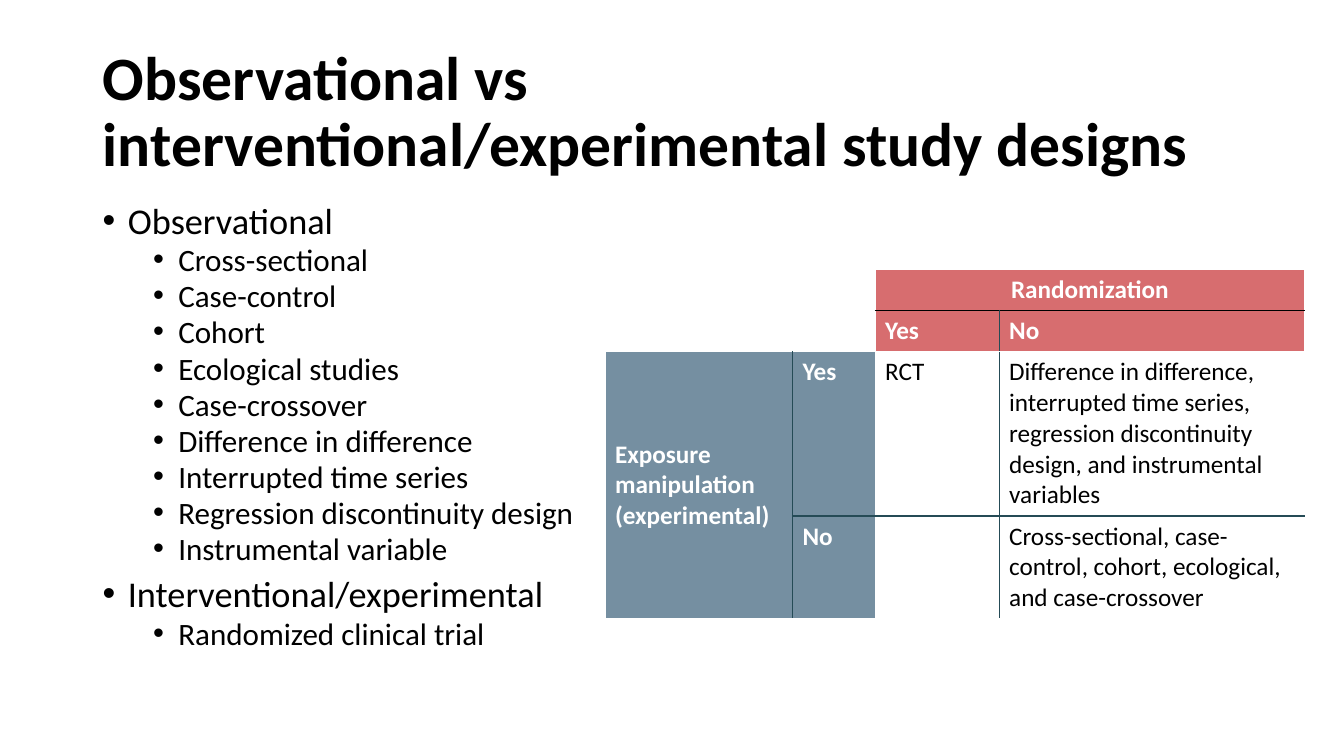
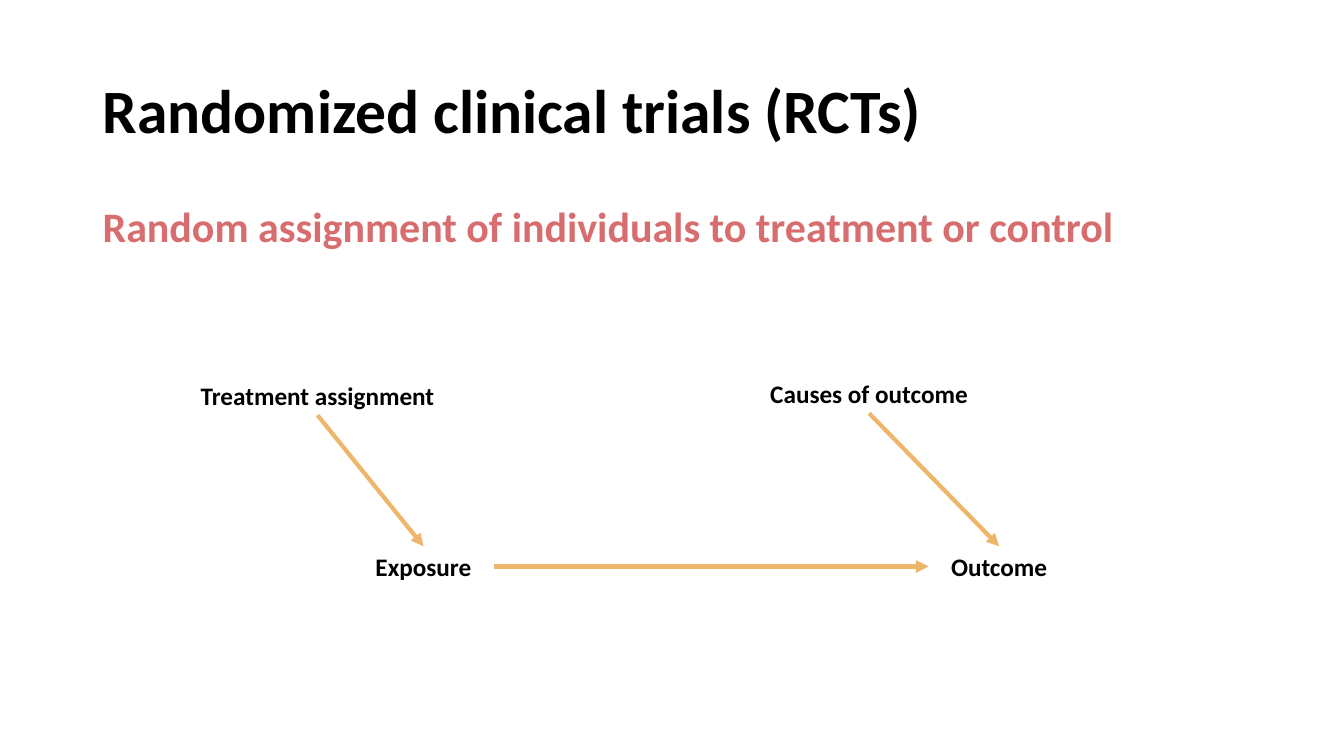
from lxml.etree import SubElement
from pptx import Presentation
from pptx.dml.color import RGBColor
from pptx.enum.shapes import MSO_CONNECTOR
from pptx.enum.text import MSO_ANCHOR as Anchor, MSO_AUTO_SIZE as AutoSize, PP_ALIGN as Align
from pptx.oxml.ns import qn
from pptx.util import Inches, Pt

BLACK = RGBColor(0x00, 0x00, 0x00)
WHITE = RGBColor(0xFF, 0xFF, 0xFF)
RED = RGBColor(0xD7, 0x6D, 0x6F)
SLATE = RGBColor(0x75, 0x8F, 0xA1)
TEAL = RGBColor(0x25, 0x4B, 0x56)
AMBER = RGBColor(0xEE, 0xB6, 0x6B)

TOP, LEFT, BOTTOM, RIGHT = range(4)
CONTENT_LEFT, CONTENT_WIDTH = 0.92, 11.5


class Deck:
    font = "Calibri"
    level_styles = ((25.9, 0.25, 9.5), (22.2, 0.75, 4.5))

    def __init__(self):
        self.presentation = Presentation()
        self.presentation.slide_width = Inches(13.33)
        self.presentation.slide_height = Inches(7.5)
        self.slide = None

    def add_run(self, paragraph, text, size, color=BLACK, bold=False):
        run = paragraph.add_run()
        run.text = text
        run.font.name = self.font
        run.font.size = Pt(size)
        run.font.bold = bold
        run.font.color.rgb = color

    def add_slide(self, title):
        layout = self.presentation.slide_layouts[5]
        self.slide = self.presentation.slides.add_slide(layout)
        shape = self.slide.shapes.title
        shape.left, shape.top = Inches(CONTENT_LEFT), Inches(0.4)
        shape.width, shape.height = Inches(CONTENT_WIDTH), Inches(1.45)
        frame = shape.text_frame
        frame.auto_size = AutoSize.NONE
        frame.vertical_anchor = Anchor.MIDDLE
        paragraph = frame.paragraphs[0]
        paragraph.alignment = Align.LEFT
        paragraph.line_spacing = 0.9
        self.add_run(paragraph, title, 44, bold=True)

    def add_box(self, left, top, width, height):
        shape = self.slide.shapes.add_textbox(
            Inches(left), Inches(top), Inches(width), Inches(height))
        shape.text_frame.word_wrap = True
        return shape

    def add_bullets(self, items, left, top, width, height):
        frame = self.add_box(left, top, width, height).text_frame
        for index, (level, text) in enumerate(items):
            paragraph = frame.add_paragraph() if index else frame.paragraphs[0]
            size, margin, space = self.level_styles[level]
            paragraph.level = level
            paragraph.line_spacing = 0.8
            paragraph.space_before = Pt(space if index else 0)
            properties = paragraph._p.get_or_add_pPr()
            properties.set("marL", str(Inches(margin)))
            properties.set("indent", str(Inches(-0.25)))
            SubElement(properties, qn("a:buFont"), typeface="Arial")
            SubElement(properties, qn("a:buChar"), char="•")
            self.add_run(paragraph, text, size)

    def add_statement(self, text, left, top, width, height):
        paragraph = self.add_box(left, top, width, height).text_frame.paragraphs[0]
        paragraph.line_spacing = 0.9
        self.add_run(paragraph, text, 30, RED, True)

    def add_label(self, text, left, top, width):
        shape = self.add_box(left, top, width, 0.4)
        paragraph = shape.text_frame.paragraphs[0]
        paragraph.alignment = Align.CENTER
        self.add_run(paragraph, text, 18, bold=True)
        return shape

    def add_arrow(self, start, start_side, end, end_side):
        connector = self.slide.shapes.add_connector(MSO_CONNECTOR.STRAIGHT, 0, 0, 0, 0)
        connector.begin_connect(start, start_side)
        connector.end_connect(end, end_side)
        connector.line.color.rgb = AMBER
        connector.line.width = Pt(3)
        SubElement(connector.line._get_or_add_ln(), qn("a:tailEnd"), type="triangle")
        SubElement(connector._element.spPr, qn("a:effectLst"))

    def set_borders(self, cell, colors):
        properties = cell._tc.get_or_add_tcPr()
        for side, color in zip("LRTB", colors):
            line = SubElement(properties, qn(f"a:ln{side}"), w=str(Pt(1)))
            fill = SubElement(line, qn("a:solidFill"))
            SubElement(fill, qn("a:srgbClr"), val=str(color))

    def add_table(self, texts, fills, merges, vertical, horizontal, left, top, widths, heights):
        shape = self.slide.shapes.add_table(
            len(heights), len(widths), Inches(left), Inches(top),
            Inches(sum(widths)), Inches(sum(heights)))
        table = shape.table
        table.first_row = table.horz_banding = False
        for column, width in zip(table.columns, widths):
            column.width = Inches(width)
        for row, height in zip(table.rows, heights):
            row.height = Inches(height)
        for r in range(len(heights)):
            for c in range(len(widths)):
                cell = table.cell(r, c)
                self.set_borders(cell, (
                    vertical.get((r, c), WHITE), vertical.get((r, c + 1), WHITE),
                    horizontal.get((r, c), WHITE), horizontal.get((r + 1, c), WHITE)))
                fill = fills.get((r, c))
                if fill is None:
                    cell.fill.background()
                else:
                    cell.fill.solid()
                    cell.fill.fore_color.rgb = fill
                if (r, c) in texts:
                    self.add_run(cell.text_frame.paragraphs[0], texts[r, c], 18,
                                 WHITE if fill else BLACK, fill is not None)
        for first, last in merges:
            cell = table.cell(*first)
            cell.merge(table.cell(*last))
            cell.vertical_anchor = Anchor.MIDDLE
        return table


def add_study_designs(deck):
    deck.add_slide("Observational vs interventional/experimental study designs")
    deck.add_bullets([
        (0, "Observational"),
        (1, "Cross-sectional"),
        (1, "Case-control"),
        (1, "Cohort"),
        (1, "Ecological studies"),
        (1, "Case-crossover"),
        (1, "Difference in difference"),
        (1, "Interrupted time series"),
        (1, "Regression discontinuity design"),
        (1, "Instrumental variable"),
        (0, "Interventional/experimental"),
        (1, "Randomized clinical trial"),
    ], CONTENT_LEFT, 2, CONTENT_WIDTH, 4.76)
    texts = {
        (0, 2): "Randomization",
        (1, 2): "Yes",
        (1, 3): "No",
        (2, 0): "Exposure manipulation (experimental)",
        (2, 1): "Yes",
        (2, 2): "RCT",
        (2, 3): "Difference in difference, interrupted time series, "
                "regression discontinuity design, and instrumental variables",
        (3, 1): "No",
        (3, 3): "Cross-sectional, case-control, cohort, ecological, and case-crossover",
    }
    fills = {(r, c): RED for r in (0, 1) for c in (2, 3)}
    fills.update({(r, c): SLATE for r in (2, 3) for c in (0, 1)})
    vertical = {position: TEAL for position in ((1, 3), (2, 1), (2, 3), (3, 1), (3, 3))}
    horizontal = {(1, 2): BLACK, (1, 3): BLACK, (3, 1): TEAL, (3, 2): TEAL, (3, 3): TEAL}
    merges = [((0, 2), (0, 3)), ((2, 0), (3, 0))]
    table = deck.add_table(texts, fills, merges, vertical, horizontal, 6, 2.67,
                           (1.86, 0.82, 1.23, 3.03), (0.41, 0.41, 1.63, 1.02))
    table.cell(0, 2).text_frame.paragraphs[0].alignment = Align.CENTER


def add_randomized_trials(deck):
    deck.add_slide("Randomized clinical trials (RCTs)")
    deck.add_statement("Random assignment of individuals to treatment or control",
                       CONTENT_LEFT, 2, CONTENT_WIDTH, 4.76)
    exposure = deck.add_label("Exposure", 3.5, 5.42, 1.4)
    outcome = deck.add_label("Outcome", 9.21, 5.42, 1.4)
    treatment = deck.add_label("Treatment assignment", 1.8, 3.72, 2.7)
    causes = deck.add_label("Causes of outcome", 7.27, 3.7, 2.7)
    deck.add_arrow(treatment, BOTTOM, exposure, TOP)
    deck.add_arrow(exposure, RIGHT, outcome, LEFT)
    deck.add_arrow(causes, BOTTOM, outcome, TOP)


def main():
    deck = Deck()
    add_study_designs(deck)
    add_randomized_trials(deck)
    deck.presentation.save("out.pptx")


if __name__ == "__main__":
    main()
